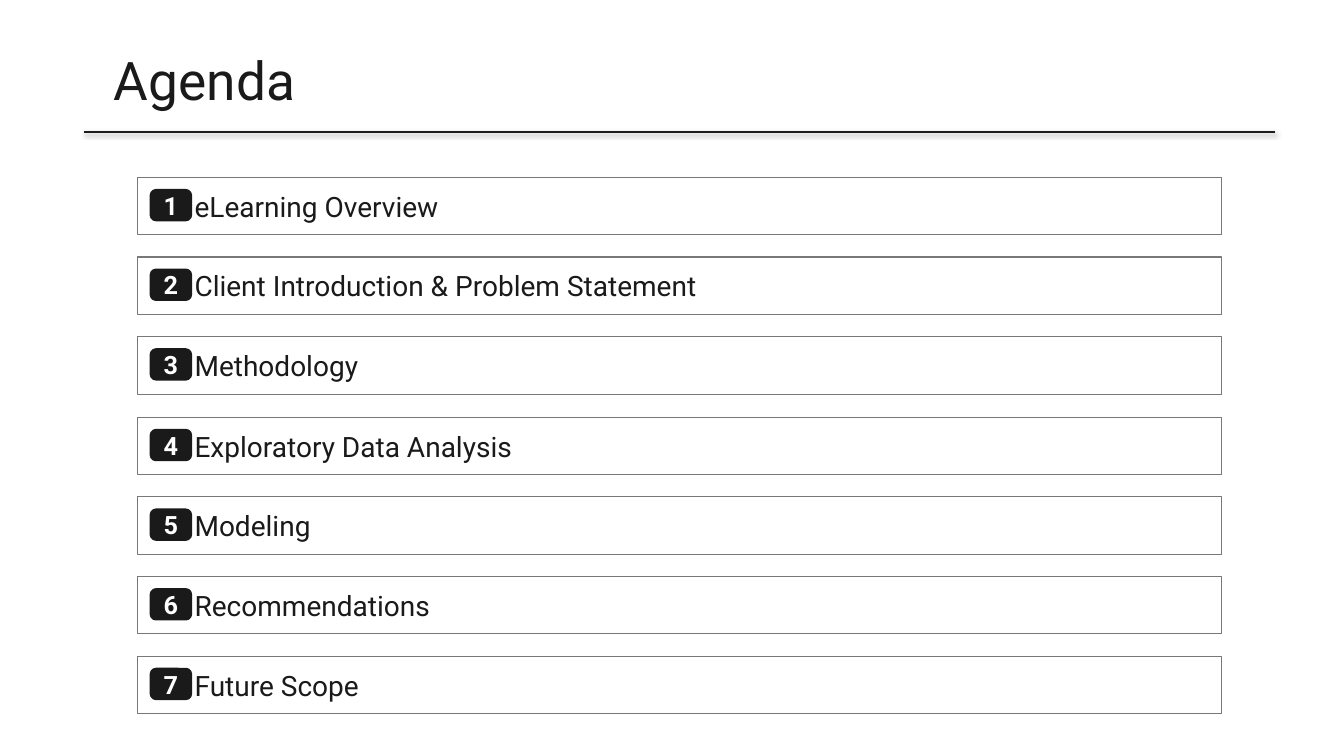
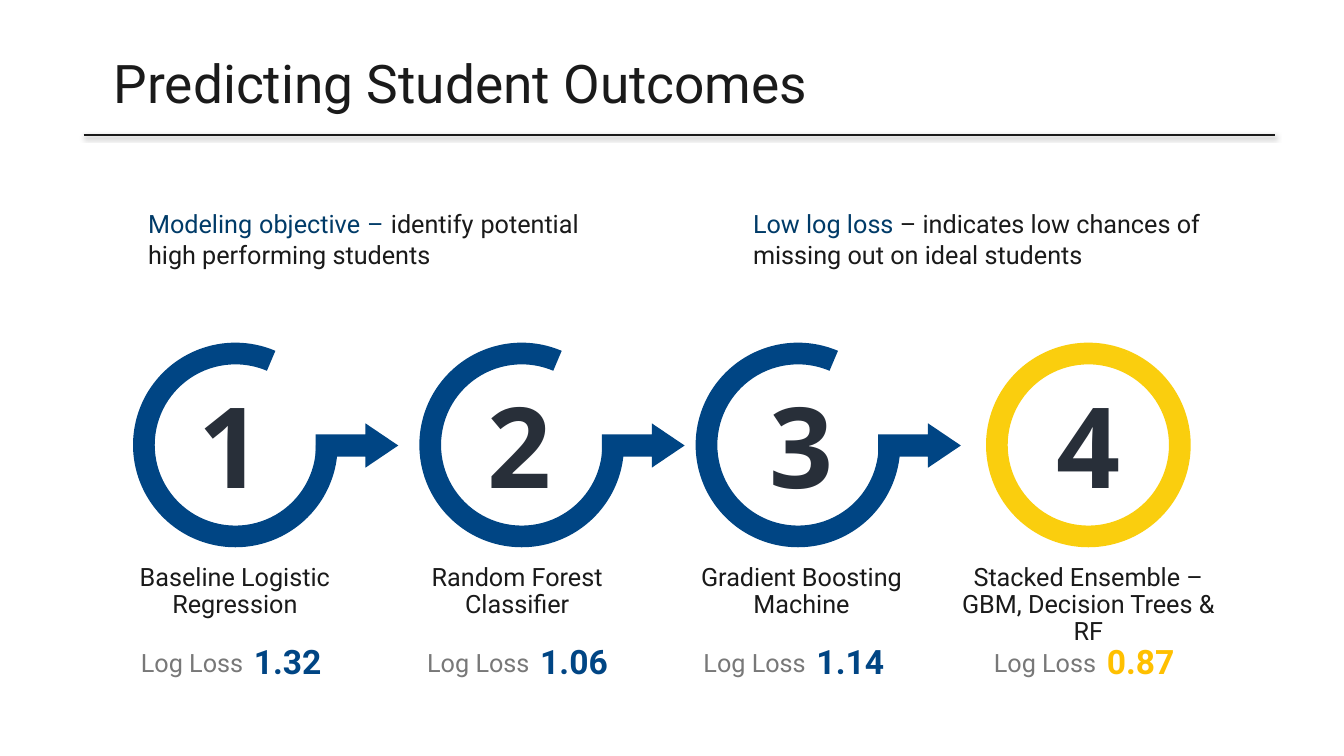
import lxml.etree
import pptx
import pptx.dml.color
import pptx.enum.shapes
import pptx.enum.text
import pptx.oxml
import pptx.oxml.ns
import pptx.util

PX = 9144  # EMU per px, 100 px to the inch
COLORS = {
    "ink": "1A1A1A", "gray": "787878", "white": "FFFFFF", "numeral": "282F39",
    "blue": "004584", "navy": "003B68", "yellow": "FACE0E", "amber": "FFC000",
}
SHAPE = pptx.enum.shapes.MSO_SHAPE
ALIGN = pptx.enum.text.PP_ALIGN
ANCHOR = pptx.enum.text.MSO_ANCHOR
RULE_SHADOW = (
    '<a:effectLst xmlns:a="http://schemas.openxmlformats.org/drawingml/2006/main">'
    '<a:outerShdw blurRad="39370" dist="20320" dir="5400000" rotWithShape="0">'
    '<a:srgbClr val="000000"><a:alpha val="38000"/></a:srgbClr>'
    '</a:outerShdw></a:effectLst>'
)

AGENDA = [
    "eLearning Overview", "Client Introduction & Problem Statement", "Methodology",
    "Exploratory Data Analysis", "Modeling", "Recommendations", "Future Scope",
]
# ring left, numeral left, caption left, caption width, caption, log loss
MODELS = [
    (132, 132, 106, 254, "Baseline Logistic Regression", "1.32"),
    (416, 419, 386, 254, "Random Forest Classifier", "1.06"),
    (690, 698, 668, 254, "Gradient Boosting Machine", "1.14"),
    (978, 983, 938, 283, "Stacked Ensemble – GBM, Decision Trees & RF", "0.87"),
]


def rgb(name):
    return pptx.dml.color.RGBColor.from_string(COLORS[name])


def box(x, y, w, h):
    return [pptx.util.Emu(v * PX) for v in (x, y, w, h)]


def write(sp, runs, size, align=ALIGN.LEFT, anchor=ANCHOR.TOP, inset=(10, 5, 10, 5),
          bold=False, font="Roboto", wrap=True):
    """Fill a shape with one paragraph; runs are (text, colour name) pairs."""
    tf = sp.text_frame
    tf.word_wrap = wrap
    tf.vertical_anchor = anchor
    tf.margin_left, tf.margin_top, tf.margin_right, tf.margin_bottom = box(*inset)
    p = tf.paragraphs[0]
    p.alignment = align
    for text, color in runs:
        r = p.add_run()
        r.text = text
        r.font.name = font
        r.font.size = pptx.util.Pt(size)
        r.font.bold = bold
        r.font.color.rgb = rgb(color)
    return p


def add_text(s, x, y, w, h, runs, size, grow=True, **style):
    sp = s.shapes.add_textbox(*box(x, y, w, h))
    p = write(sp, runs, size, **style)
    if grow:
        sp.text_frame.auto_size = pptx.enum.text.MSO_AUTO_SIZE.SHAPE_TO_FIT_TEXT
    return p


def add_shape(s, kind, x, y, w, h, fill=None, line=None, line_width=1, adjust=()):
    sp = s.shapes.add_shape(kind, *box(x, y, w, h))
    sp.shadow.inherit = False
    for i, value in enumerate(adjust):
        sp.adjustments[i] = value
    if fill:
        sp.fill.solid()
        sp.fill.fore_color.rgb = rgb(fill)
    else:
        sp.fill.background()
    if line:
        sp.line.color.rgb = rgb(line)
        sp.line.width = pptx.util.Pt(line_width)
    else:
        sp.line.fill.background()
    return sp


def add_title(s, text, top):
    """Title with the shadowed rule below it."""
    add_text(s, 106, top, 1136, 101, [(text, "ink")], 38, grow=False,
             anchor=ANCHOR.BOTTOM, inset=(7, 4, 7, 4))
    x1, y1, x2, y2 = box(83, top + 118, 1265, top + 118)
    rule = s.shapes.add_connector(pptx.enum.shapes.MSO_CONNECTOR.STRAIGHT, x1, y1, x2, y2)
    rule.line.color.rgb = rgb("ink")
    rule.line.width = pptx.util.Pt(2)
    rule._element.spPr.append(pptx.oxml.parse_xml(RULE_SHADOW))


def add_agenda_row(s, x, y, w, h, number, topic):
    row = add_shape(s, SHAPE.RECTANGLE, x, y, w, h, line="gray", line_width=0.75)
    write(row, [(topic, "ink")], 20, anchor=ANCHOR.MIDDLE, inset=(57, 4, 4, 4))
    badge = add_shape(s, SHAPE.ROUNDED_RECTANGLE, x + 14, y + 13, 39, 29,
                      fill="ink", line="ink", line_width=2.25)
    write(badge, [(str(number), "white")], 18, align=ALIGN.CENTER,
          anchor=ANCHOR.MIDDLE, inset=(8, 5, 8, 5), bold=True)


def add_label(s, x, y, w, h, text, color):
    p = add_text(s, x, y, w, h, [(text, color)], 18, align=ALIGN.CENTER, inset=(0, 0, 0, 0))
    p.line_spacing = 0.9
    p.space_before = pptx.util.Pt(6)


def add_model(s, top, number, model, final):
    """Numbered ring with caption and score; every ring but the final one has an arrow."""
    x, numeral_x, caption_x, caption_w, caption, loss = model
    color = "yellow" if final else "blue"
    start = 175.93 if final else 215.7
    add_shape(s, SHAPE.BLOCK_ARC, x, top, 203, 203, fill=color, adjust=(start, 175.81, 0.106))
    if not final:
        add_shape(s, SHAPE.RIGHT_ARROW, x + 181, top + 80, 82, 44, fill=color,
                  adjust=(0.5, 0.74))
    add_text(s, numeral_x, top + 29, 193, 145, [(str(number), "numeral")], 80,
             align=ALIGN.CENTER, bold=True, font="Open Sans")
    add_label(s, caption_x, top + 220, caption_w, 55, caption, "ink")
    add_label(s, x + 5, top + 306, 107, 28, "Log Loss", "gray")
    add_text(s, x + 110, top + 291, 87, 50, [(loss, "amber" if final else "blue")], 24,
             bold=True, wrap=False)


def agenda_slide(s):
    add_title(s, "Agenda", 13)
    for i, topic in enumerate(AGENDA):
        add_agenda_row(s, 136, 176 + round(i * 475 / 6), 1076, 57, i + 1, topic)


def outcomes_slide(s):
    add_title(s, "Predicting Student Outcomes", 16)
    add_text(s, 137, 202, 447, 71,
             [("Modeling objective – ", "navy"),
              ("identify potential high performing students", "ink")],
             18, align=ALIGN.JUSTIFY)
    add_text(s, 737, 202, 515, 71,
             [("Low log loss ", "navy"),
              ("– indicates low chances of missing out on ideal students", "ink")], 18)
    for number, model in enumerate(MODELS, 1):
        add_model(s, 340, number, model, number == len(MODELS))


def main():
    prs = pptx.Presentation()
    prs.slide_width, prs.slide_height = box(0, 0, 1333, 750)[2:]
    for build in (agenda_slide, outcomes_slide):
        build(prs.slides.add_slide(prs.slide_layouts[6]))
    prs.save("out.pptx")


if __name__ == "__main__":
    main()
